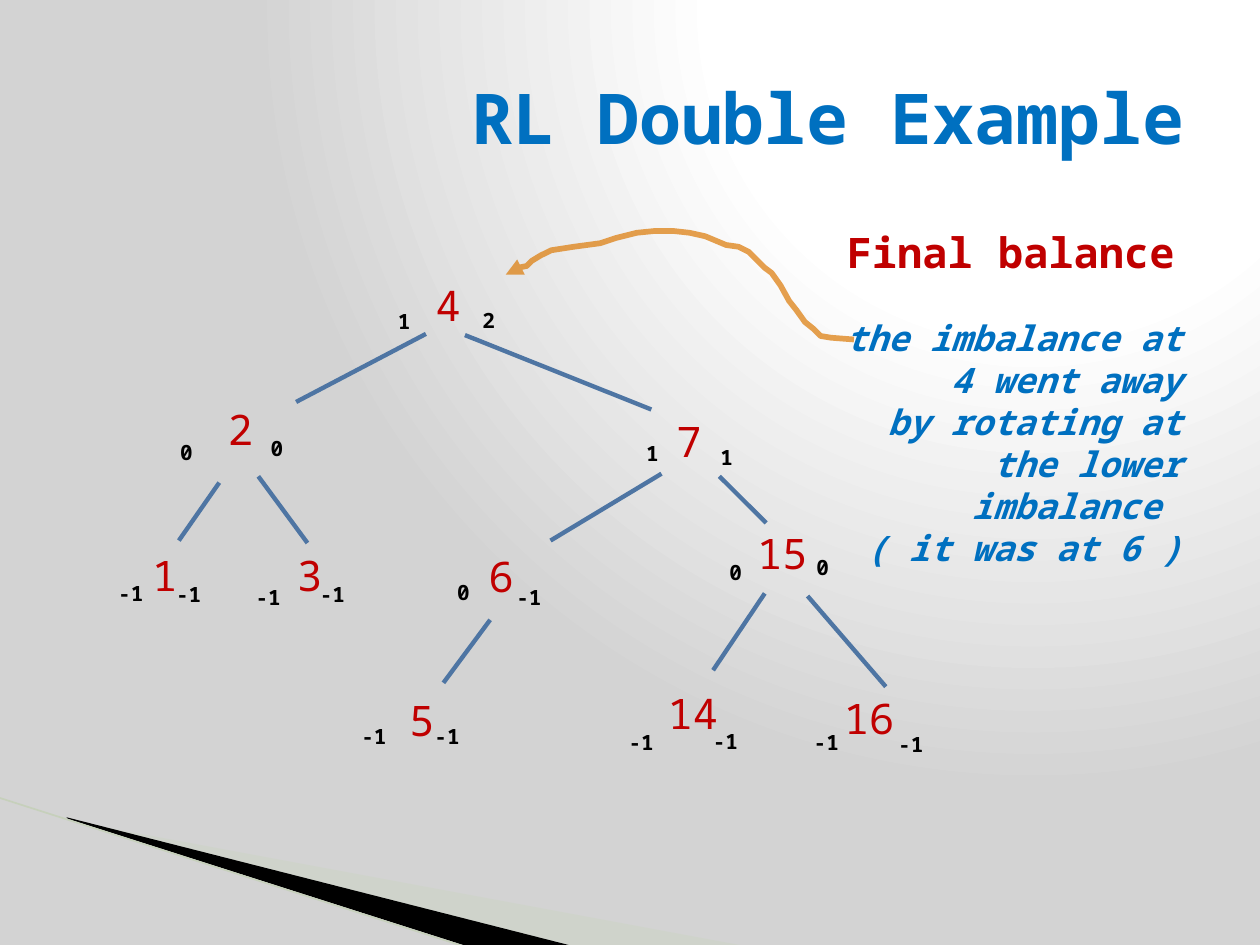
from pptx import Presentation
from pptx.dml.color import RGBColor
from pptx.enum.shapes import MSO_CONNECTOR
from pptx.enum.text import MSO_ANCHOR, PP_ALIGN
from pptx.oxml import parse_xml
from pptx.oxml.ns import qn
from pptx.util import Pt
from lxml.etree import SubElement

FONT = "Noto Sans Mono"
RED, BLUE, BLACK = "C00000", "0070C0", "000000"

# Content: lengths in points
TITLE = "RL Double Example"
HEAD = "Final balance"
NOTE = ["the imbalance at 4 went away", "by rotating at the lower imbalance ", "( it was at 6 )"]

# key, box, then (height, left, top) of the left and right subtree
NODES = [
    ("4", (241.9, 156.2, 25.9, 43.2), ("1", 220.3, 172.8), ("2", 268.6, 172.1)),
    ("2", (123.1, 226.8, 25.9, 43.2), ("0", 95.8, 247.7), ("0", 147.6, 245.5)),
    ("7", (379.4, 234, 43.2, 46.8), ("1", 362.2, 248.4), ("1", 404.6, 250.6)),
    ("1", (79.9, 310.3, 25.9, 43.2), ("-1", 60.5, 328.3), ("-1", 93.6, 329)),
    ("3", (162.7, 310.3, 25.9, 43.2), ("-1", 139, 330.5), ("-1", 175.7, 329)),
    ("6", (272.2, 311, 25.9, 43.2), ("0", 254.2, 327.6), ("-1", 288, 330.5)),
    ("15", (425.5, 298.1, 63.4, 50.4), ("0", 409.7, 316.1), ("0", 459.4, 313.2)),
    ("5", (226.8, 393.1, 34.6, 43.2), ("-1", 199.4, 409.7), ("-1", 241.2, 409.7)),
    ("14", (374.4, 389.5, 65.5, 50.4), ("-1", 352.1, 413.3), ("-1", 400.3, 412.6)),
    ("16", (475.2, 392.4, 60.5, 50.4), ("-1", 457.9, 413.3), ("-1", 506.2, 414.7)),
]
EDGES = [
    (243.4, 190.8, 169.2, 229.7), (265.7, 191.5, 372.2, 234),
    (125.3, 275.8, 102.2, 308.9), (147.6, 272.2, 175.7, 310.3),
    (378, 270.7, 314.6, 308.9), (411.1, 272.2, 437.8, 298.8),
    (280.1, 354.2, 253.4, 390.2),
    (437, 339.1, 407.5, 383), (461.5, 340.6, 506.2, 392.4),
]
ARROW = [
    (488.2, 193.7), (475.2, 193), (469.4, 191.5), (465.1, 187.9), (460.1, 183.6),
    (455, 177.1), (451.4, 172.1), (445.7, 163.4), (440.6, 156.2), (437, 152.6),
    (432, 147.6), (427.7, 144), (421.9, 141.1), (415.4, 139.7), (403.2, 135.4),
    (393.8, 133.2), (385.2, 131.8), (374, 132.2), (363.6, 133.2), (352.1, 136.1),
    (342.7, 139), (327.6, 141.1), (315.4, 143.3), (308.9, 146.2), (303.8, 149),
    (301, 151.9), (295.9, 153.4), (290.9, 155.5), (289.4, 157),
]
PALE = [(39.6, 468.7), (428.4, 540.7), (328.3, 540.7), (39.6, 468)]
DARK = [(38.2, 467.3), (329, 540.7), (267.8, 541.4), (38.9, 468)]
RIM = (-0.7, 455.8, 267.1, 541.4)


def color(code):
    return RGBColor.from_string(code)


def fade(fill, share):
    tone = fill.find(".//" + qn("a:srgbClr"))
    SubElement(tone, qn("a:alpha"), val=str(share * 1000))


def style(frame, size, code, bold=False, slant=False, align=PP_ALIGN.LEFT):
    frame.word_wrap = True
    for para in frame.paragraphs:
        para.alignment = align
        for run in para.runs:
            font = run.font
            font.name, font.size = FONT, Pt(size)
            font.bold, font.italic = bold, slant
            font.color.rgb = color(code)


def label(text, box, *look, **more):
    shape = slide.shapes.add_textbox(*map(Pt, box))
    shape.text_frame.text = text
    style(shape.text_frame, *look, **more)


def line(ends, code, width):
    link = slide.shapes.add_connector(MSO_CONNECTOR.STRAIGHT, *map(Pt, ends))
    link.line.color.rgb = color(code)
    link.line.width = Pt(width)
    SubElement(link._element.spPr, qn("a:effectLst"))


def outline(points, close):
    pen = slide.shapes.build_freeform(*points[0], scale=Pt(1))
    pen.add_line_segments(points[1:], close=close)
    shape = pen.convert_to_shape()
    shape.shadow.inherit = False
    return shape


def wedge(points, code):
    shape = outline(points, True)
    shape.fill.solid()
    shape.fill.fore_color.rgb = color(code)
    shape.line.fill.background()
    return shape


deck = Presentation()
deck.slide_width, deck.slide_height = Pt(720), Pt(540)
slide = deck.slides.add_slide(deck.slide_layouts[5])

# Background glow from the top right
slide.background.fill.gradient()
grad = slide._element.find(".//" + qn("a:gradFill"))
stops = "".join(f'<a:gs pos="{pos}000"><a:srgbClr val="{code}"/></a:gs>'
                for pos, code in [(0, "FFFFFF"), (40, "FFFFFF"), (100, "D3D3D3")])
grad.getparent().replace(grad, parse_xml(
    '<a:gradFill xmlns:a="http://schemas.openxmlformats.org/drawingml/2006/main">'
    f'<a:gsLst>{stops}</a:gsLst><a:path path="circle">'
    '<a:fillToRect l="65000" t="0" r="0" b="98000"/></a:path></a:gradFill>'))

# Corner wedges
fade(wedge(PALE, "CBD4C0")._element.spPr, 40)
wedge(DARK, BLACK)
line(RIM, "C6D0BB", 0.95)

# Title and heading
title = slide.shapes.title
title.left, title.top, title.width, title.height = map(Pt, (36, 21.6, 648, 90))
title.text_frame.text = TITLE
title.text_frame.vertical_anchor = MSO_ANCHOR.MIDDLE
style(title.text_frame, 40, BLUE, bold=True, align=PP_ALIGN.RIGHT)
label(HEAD, (442.8, 126, 235.4, 36), 24, RED, bold=True, align=PP_ALIGN.RIGHT)

# Tree
for ends in EDGES:
    line(ends, "4E75A3", 2.5)
for key, box, *sides in NODES:
    label(key, box, 24, RED)
    for depth, left, top in sides:
        label(depth, (left, top, 33.1, 21.6), 12, BLACK, bold=True)

# Note and its arrow
label("\n".join(NOTE), (459.4, 177.1, 223.2, 128.2), 20, BLUE,
      bold=True, slant=True, align=PP_ALIGN.RIGHT)
arrow = outline(ARROW, False)
arrow.fill.background()
arrow.line.color.rgb = color("DD7E0E")
arrow.line.width = Pt(3.25)
stroke = arrow._element.spPr.find(qn("a:ln"))
fade(stroke, 72)
SubElement(stroke, qn("a:tailEnd"), type="triangle")

deck.save("out.pptx")
